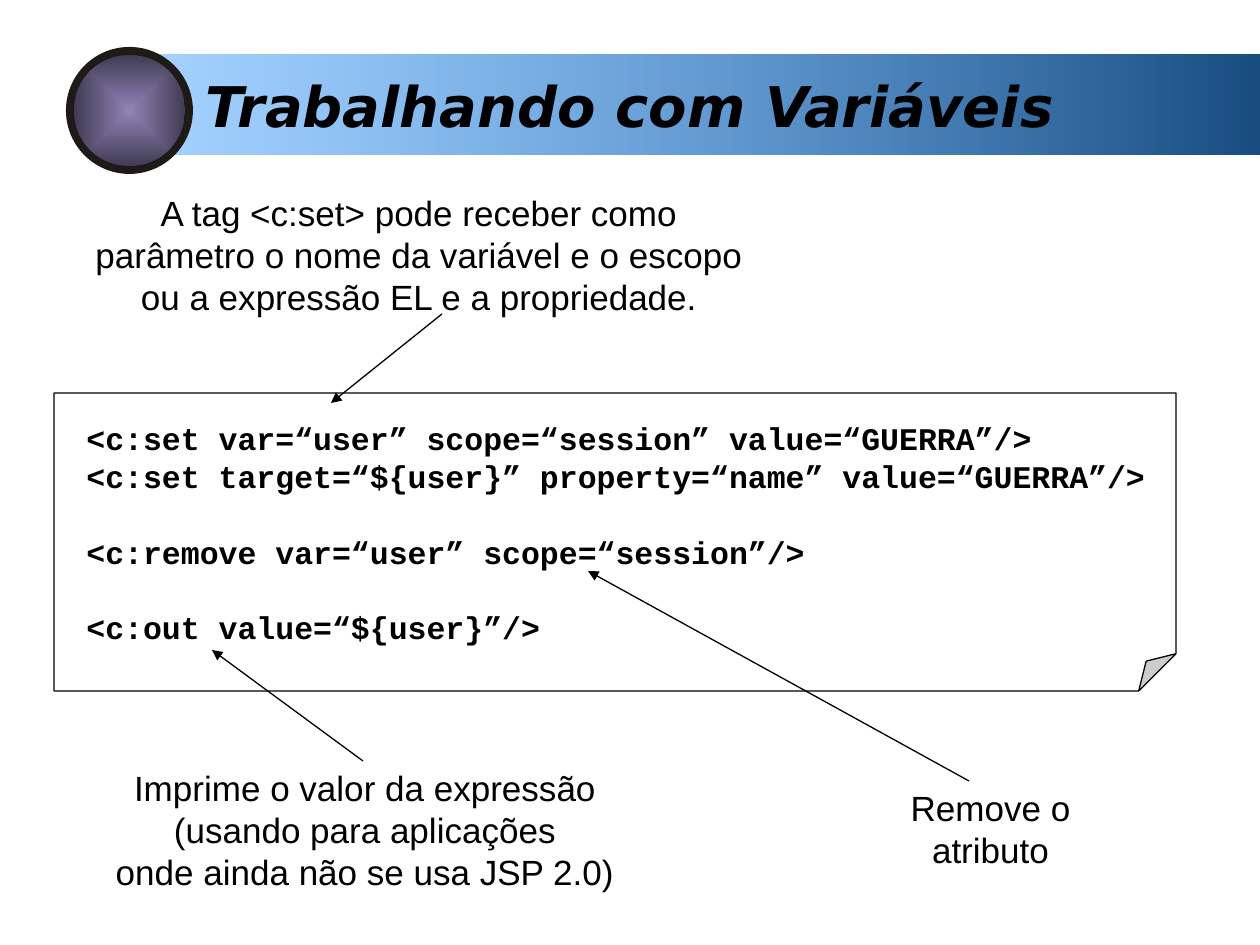
from pptx import Presentation
from pptx import util as u
from pptx.dml.color import RGBColor
from pptx.enum import shapes, text
from pptx.oxml import parse_xml
from pptx.oxml.ns import nsdecls, qn

PX = 914400 / 126
BLACK = RGBColor(0x00, 0x00, 0x00)
WHITE = RGBColor(0xFF, 0xFF, 0xFF)
NAVY = RGBColor(0x19, 0x4D, 0x81)
SKY = RGBColor(0x33, 0x99, 0xFF)
RING = RGBColor(0x1F, 0x1A, 0x17)
LILAC = RGBColor(0x8E, 0x84, 0xB7)
PLUM = RGBColor(0x41, 0x3C, 0x54)


def px(*lengths):
    return [u.Emu(round(length * PX)) for length in lengths]


def add_text(content, box, font, size, bold=False, italic=False, wrap=True,
             align=text.PP_ALIGN.LEFT, line_spacing=None, gaps=()):
    """Each item of content is a paragraph; gaps lists those with a line of space before."""
    frame = slide.shapes.add_textbox(*px(*box)).text_frame
    frame.word_wrap = wrap
    for i, line in enumerate(content):
        paragraph = frame.paragraphs[0] if i == 0 else frame.add_paragraph()
        paragraph.text = line
        paragraph.alignment = align
        if line_spacing:
            paragraph.line_spacing = u.Pt(line_spacing)
        if i in gaps:
            paragraph.space_before = u.Pt(line_spacing)
        for run in paragraph.runs:
            run.font.name = font
            run.font.size = u.Pt(size)
            run.font.bold = bold
            run.font.italic = italic
            run.font.color.rgb = BLACK


prs = Presentation()
prs.slide_width, prs.slide_height = px(1260, 945)
slide = prs.slides.add_slide(prs.slide_layouts[6])

# Title band, fading to a translucent blue on the left
band = slide.shapes.add_shape(shapes.MSO_SHAPE.RECTANGLE, *px(154, 55, 1106, 100))
band.shadow.inherit = False
band.line.fill.background()
band.fill.gradient()
band.fill.gradient_angle = 180
for stop, colour in zip(band.fill.gradient_stops, (NAVY, SKY)):
    stop.color.rgb = colour
sky_colour = band._element.spPr.findall(".//" + qn("a:srgbClr"))[-1]
sky_colour.append(parse_xml(f'<a:alpha {nsdecls("a")} val="44000"/>'))

add_text(["Trabalhando com Variáveis"], (193, 65, 1067, 81),
         "DejaVu Sans", 32, bold=True, italic=True)

# Round button: dark ring with a disc that is light in the middle
ring = slide.shapes.add_shape(shapes.MSO_SHAPE.OVAL, *px(66, 47, 127, 127))
ring.fill.solid()
ring.fill.fore_color.rgb = RING
disc = slide.shapes.add_shape(shapes.MSO_SHAPE.OVAL, *px(74, 55, 111, 111))
disc.fill.gradient()
for stop, colour in zip(disc.fill.gradient_stops, (LILAC, PLUM)):
    stop.color.rgb = colour
for circle in (ring, disc):
    circle.shadow.inherit = False
    circle.line.fill.background()
linear = disc._element.spPr.find(".//" + qn("a:lin"))
linear.getparent().replace(linear, parse_xml(
    f'<a:path {nsdecls("a")} path="rect">'
    '<a:fillToRect l="50000" t="50000" r="50000" b="50000"/></a:path>'))

# Code sheet, its folded corner an eighth of the height
sheet = slide.shapes.add_shape(shapes.MSO_SHAPE.FOLDED_CORNER, *px(54, 393, 1122, 298))
sheet._element.spPr.find(".//" + qn("a:avLst")).append(
    parse_xml(f'<a:gd {nsdecls("a")} name="adj" fmla="val 12500"/>'))
sheet.shadow.inherit = False
sheet.fill.solid()
sheet.fill.fore_color.rgb = WHITE
sheet.line.color.rgb = BLACK
sheet.line.width = u.Pt(0.75)

code = [
    "<c:set var=“user” scope=“session” value=“GUERRA”/>",
    "<c:set target=“${user}” property=“name” value=“GUERRA”/>",
    "<c:remove var=“user” scope=“session”/>",
    "<c:out value=“${user}”/>",
]
add_text(code, (74, 413, 1160, 239), "Courier New", 18, bold=True,
         line_spacing=21.6, gaps=(2, 3))

# Callouts: wording, text box, arrow from the wording to the code
callouts = [
    ("A tag <c:set> pode receber como\nparâmetro o nome da variável e o escopo\n"
     "ou a expressão EL e a propriedade.", (83, 185, 672, 139), (442, 314, 331, 403)),
    ("Remove o\natributo", (898, 780, 185, 97), (969, 781, 588, 571)),
    ("Imprime o valor da expressão\n(usando para aplicações\n"
     "onde ainda não se usa JSP 2.0)", (103, 760, 524, 139), (363, 761, 212, 650)),
]
for wording, box, ends in callouts:
    add_text([wording], box, "Arial", 20, wrap=False, align=text.PP_ALIGN.CENTER)
    arrow = slide.shapes.add_connector(shapes.MSO_CONNECTOR.STRAIGHT, *px(*ends))
    arrow.line.color.rgb = BLACK
    arrow.line.width = u.Pt(0.75)
    arrow.line._get_or_add_ln().append(
        parse_xml(f'<a:tailEnd {nsdecls("a")} type="triangle"/>'))
    arrow._element.spPr.append(parse_xml(f'<a:effectLst {nsdecls("a")}/>'))

prs.save("out.pptx")
